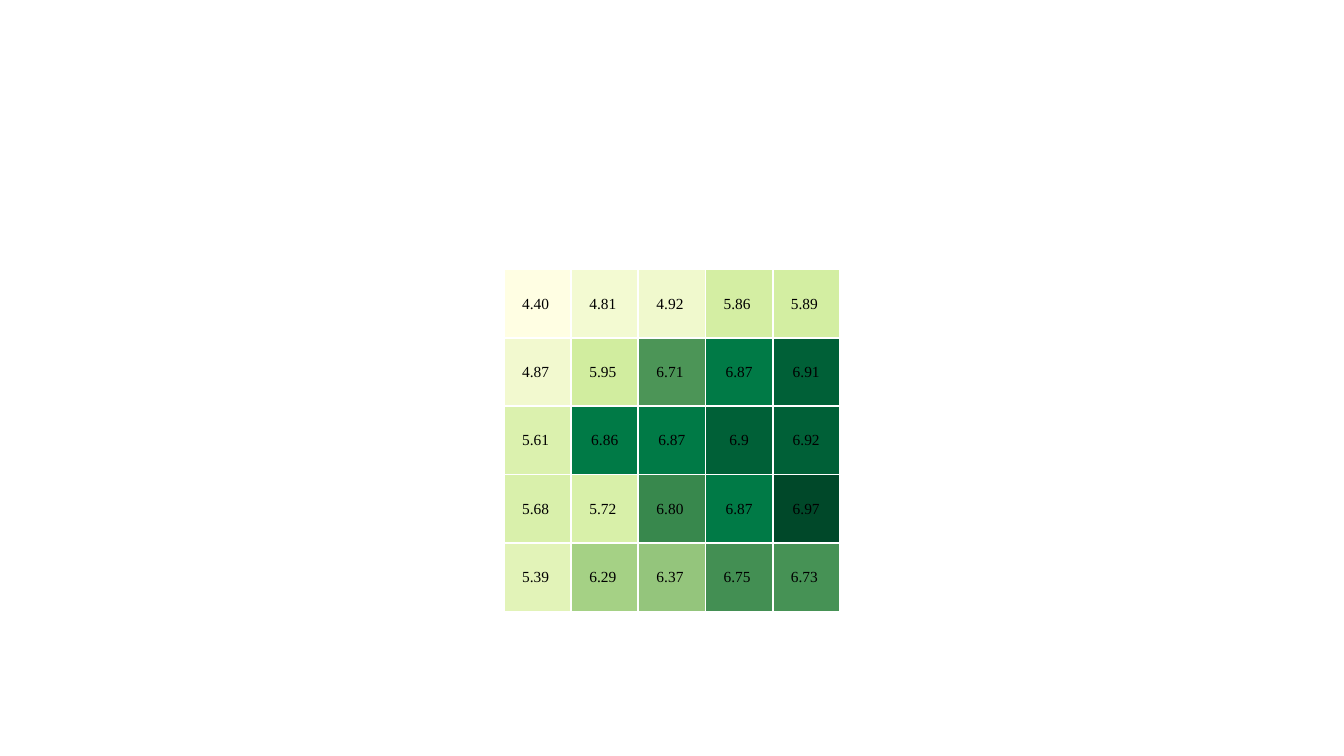
from dataclasses import dataclass

from lxml.etree import SubElement
from pptx import Presentation
from pptx.dml.color import RGBColor
from pptx.enum.text import MSO_ANCHOR as Anchor, PP_ALIGN as Align
from pptx.oxml.ns import qn
from pptx.util import Inches, Pt


@dataclass(frozen=True)
class Theme:
    """Colours, type and line sizes of the heatmap."""
    font: str = "Times New Roman"
    size: float = 11
    text: str = "000000"
    border: str = "FFFFFF"
    border_width: float = 1.5
    inset: float = 0.01


THEME = Theme()
SLIDE_WIDTH, SLIDE_HEIGHT = Inches(13.33), Inches(7.5)
LEFT, TOP, WIDTH, HEIGHT = 0.375, 0.356, 0.25, 0.453

HEATMAP = [
    [("4.40 ", "FFFEE3"), ("4.81 ", "F3FAD2"), ("4.92 ", "F0F9CD"), ("5.86 ", "D4EEA3"), ("5.89 ", "D3EEA2")],
    [("4.87 ", "F2F9CF"), ("5.95 ", "D1ED9F"), ("6.71 ", "4C9557"), ("6.87", "007A46"), ("6.91", "006037")],
    [("5.61 ", "DBF1AE"), ("6.86", "007A46"), ("6.87", "007A46"), ("6.9", "006037"), ("6.92", "006037")],
    [("5.68 ", "D9F0AB"), ("5.72 ", "D8F0A9"), ("6.80 ", "38884D"), ("6.87", "007A46"), ("6.97", "004829")],
    [("5.39 ", "E2F3B8"), ("6.29 ", "A5D185"), ("6.37 ", "94C57C"), ("6.75 ", "438F53"), ("6.73 ", "469255")],
]


def add_borders(cell):
    """Draw the four cell borders, placed ahead of the fill."""
    properties = cell._tc.get_or_add_tcPr()
    for position, side in enumerate(("a:lnL", "a:lnR", "a:lnT", "a:lnB")):
        line = SubElement(properties, qn(side), w=str(Pt(THEME.border_width)))
        fill = SubElement(line, qn("a:solidFill"))
        SubElement(fill, qn("a:srgbClr"), val=THEME.border)
        properties.insert(position, line)


def fill_cell(cell, value, color):
    """Write a value on its heat colour."""
    cell.fill.solid()
    cell.fill.fore_color.rgb = RGBColor.from_string(color)
    cell.vertical_anchor = Anchor.MIDDLE
    cell.margin_left = cell.margin_right = cell.margin_top = Inches(THEME.inset)
    cell.margin_bottom = 0
    paragraph = cell.text_frame.paragraphs[0]
    paragraph.text = value
    paragraph.alignment = Align.CENTER
    font = paragraph.runs[0].font
    font.name, font.size = THEME.font, Pt(THEME.size)
    font.color.rgb = RGBColor.from_string(THEME.text)
    add_borders(cell)


def add_heatmap(slide, rows):
    """Add a table of equal cells coloured by value."""
    width, height = int(SLIDE_WIDTH * WIDTH), int(SLIDE_HEIGHT * HEIGHT)
    table = slide.shapes.add_table(
        len(rows), len(rows[0]), int(SLIDE_WIDTH * LEFT), int(SLIDE_HEIGHT * TOP), width, height
    ).table
    table.first_row = table.horz_banding = False
    for row_index, row in enumerate(rows):
        for column_index, (value, color) in enumerate(row):
            fill_cell(table.cell(row_index, column_index), value, color)


def main():
    """Build and save the slide."""
    presentation = Presentation()
    presentation.slide_width, presentation.slide_height = SLIDE_WIDTH, SLIDE_HEIGHT
    slide = presentation.slides.add_slide(presentation.slide_layouts[6])
    add_heatmap(slide, HEATMAP)
    presentation.save("out.pptx")


main()
